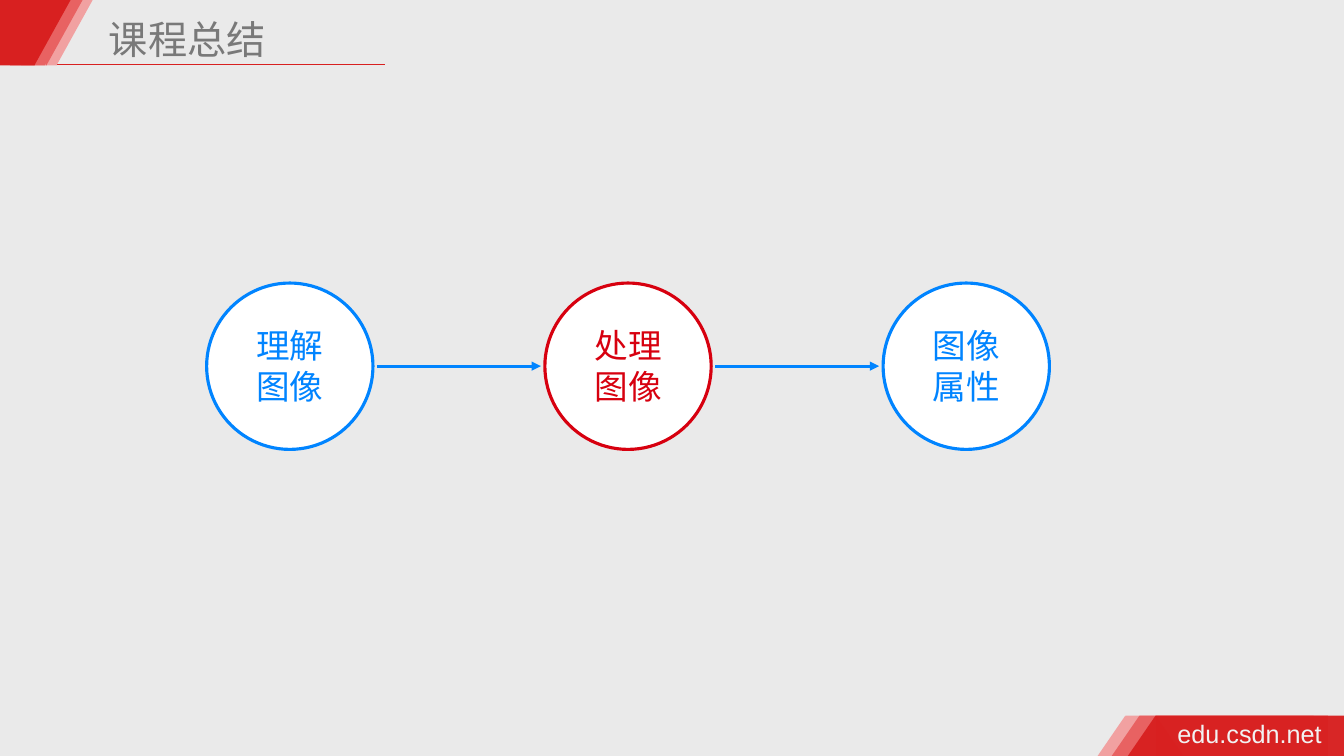
from typing import NamedTuple

from lxml import etree
from pptx import Presentation
from pptx.dml.color import RGBColor
from pptx.enum.shapes import MSO_CONNECTOR, MSO_SHAPE
from pptx.enum.text import MSO_AUTO_SIZE, PP_ALIGN
from pptx.oxml.ns import qn
from pptx.util import Pt

RED = RGBColor(0xD8, 0x20, 0x20)
MID_RED = RGBColor(0xE8, 0x62, 0x62)
PALE_RED = RGBColor(0xF1, 0xA1, 0xA1)
STEP_BLUE = RGBColor(0x00, 0x84, 0xFF)
STEP_RED = RGBColor(0xD7, 0x00, 0x0F)
WHITE = RGBColor(0xFF, 0xFF, 0xFF)
OFF_WHITE = RGBColor(0xF2, 0xF2, 0xF2)
TITLE_GRAY = RGBColor(0x79, 0x79, 0x79)
BACKGROUND = RGBColor(0xEA, 0xEA, 0xEA)
CJK_FONT = "Noto Sans CJK SC"

HEADER_H = 46.8
FOOTER_TOP, FOOTER_H = 511.2, 28.8
STEP_LEFT, STEP_PITCH = 147.6, 241.6
CIRCLE_TOP, CIRCLE_D = 202.2, 118.8
LABEL_TOP, LABEL_W, LABEL_H = 228.8, 124.4, 65.4


class Band(NamedTuple):
    color: RGBColor
    header_rect: float
    header_triangle: float
    footer_rect: float
    alpha: int = 100


class Step(NamedTuple):
    lines: list[str]
    color: RGBColor


BANDS = [
    Band(PALE_RED, 15.1, 14.4, 804.2),
    Band(MID_RED, 7.2, 7.2, 814.3),
    Band(RED, -0.7, -1.4, 825.8, alpha=97),
]
STEPS = [
    Step(["理解", "图像"], STEP_BLUE),
    Step(["处理", "图像"], STEP_RED),
    Step(["图像", "属性"], STEP_BLUE),
]


def add_filled(s, kind, left, top, width, height, color, alpha=100):
    sp = s.shapes.add_shape(kind, Pt(left), Pt(top), Pt(width), Pt(height))
    sp.shadow.inherit = False
    sp.fill.solid()
    sp.fill.fore_color.rgb = color
    sp.line.fill.background()
    if alpha < 100:
        clr = sp.fill._xPr.find(".//" + qn("a:srgbClr"))
        etree.SubElement(clr, qn("a:alpha"), val=str(alpha * 1000))
    return sp


def add_text(s, lines, left, top, width, height, *, size, color, font=CJK_FONT,
             align=None, inset=None, spacing=None, wrap=True, grow=False):
    sp = s.shapes.add_textbox(Pt(left), Pt(top), Pt(width), Pt(height))
    tf = sp.text_frame
    tf.word_wrap = wrap
    tf.auto_size = MSO_AUTO_SIZE.SHAPE_TO_FIT_TEXT if grow else MSO_AUTO_SIZE.NONE
    if inset is not None:
        tf.margin_left = tf.margin_right = Pt(inset)
        tf.margin_top = tf.margin_bottom = Pt(inset)
    for i, line in enumerate(lines):
        p = tf.add_paragraph() if i else tf.paragraphs[0]
        p.alignment = align
        p.line_spacing = spacing
        r = p.add_run()
        r.text = line
        r.font.size = Pt(size)
        r.font.name = font
        r.font.color.rgb = color
        etree.SubElement(r._r.get_or_add_rPr(), qn("a:ea"), typeface=font)
    return sp


def add_line(s, start, end, color, width, arrow=False):
    c = s.shapes.add_connector(MSO_CONNECTOR.STRAIGHT, *map(Pt, start + end))
    c.line.color.rgb = color
    c.line.width = Pt(width)
    if arrow:
        etree.SubElement(c.line._get_or_add_ln(), qn("a:tailEnd"), type="triangle")
    etree.SubElement(c._element.spPr, qn("a:effectLst"))
    return c


def draw_footer(s):
    for band in BANDS:
        left = band.footer_rect
        add_filled(s, MSO_SHAPE.RECTANGLE, left, FOOTER_TOP, 134.2, FOOTER_H,
                   band.color, band.alpha)
        add_filled(s, MSO_SHAPE.ISOSCELES_TRIANGLE, left - 20.2, FOOTER_TOP, 39.6,
                   FOOTER_H, band.color, band.alpha)
    add_text(s, ["edu.csdn.net"], 837.4, 509.8, 111.6, 28.8, size=18, color=OFF_WHITE,
             font="Arial", inset=3.6, wrap=False, grow=True)


def draw_header(s):
    add_line(s, (35.3, 46.1), (275, 46.1), RED, 1)
    for band in BANDS:
        add_filled(s, MSO_SHAPE.RECTANGLE, band.header_rect, 0, 25.2, HEADER_H, band.color)
        triangle = add_filled(s, MSO_SHAPE.ISOSCELES_TRIANGLE, band.header_triangle, 0,
                              51.8, HEADER_H, band.color)
        triangle.rotation = 180
    add_text(s, ["课程总结"], 74.2, 0.7, 222.5, HEADER_H, size=28, color=TITLE_GRAY,
             inset=3.6, spacing=1.2)


def draw_steps(s):
    """Draw the circles with their labels, and an arrow from each label to the next."""
    labels = []
    for i, step in enumerate(STEPS):
        left = STEP_LEFT + i * STEP_PITCH
        circle = add_filled(s, MSO_SHAPE.OVAL, left, CIRCLE_TOP, CIRCLE_D, CIRCLE_D, WHITE)
        circle.line.color.rgb = step.color
        circle.line.width = Pt(2.25)
        labels.append(add_text(s, step.lines, left + (CIRCLE_D - LABEL_W) / 2, LABEL_TOP,
                               LABEL_W, LABEL_H, size=24, color=step.color,
                               align=PP_ALIGN.CENTER, grow=True))
    for label, next_label in zip(labels, labels[1:]):
        arrow = add_line(s, (0, 0), (0, 0), STEP_BLUE, 2.25, arrow=True)
        arrow.begin_connect(label, 3)
        arrow.end_connect(next_label, 1)


def main():
    prs = Presentation()
    prs.slide_width, prs.slide_height = Pt(960), Pt(540)
    s = prs.slides.add_slide(prs.slide_layouts[6])
    s.background.fill.solid()
    s.background.fill.fore_color.rgb = BACKGROUND
    draw_footer(s)
    draw_header(s)
    draw_steps(s)
    prs.save("out.pptx")


if __name__ == "__main__":
    main()
